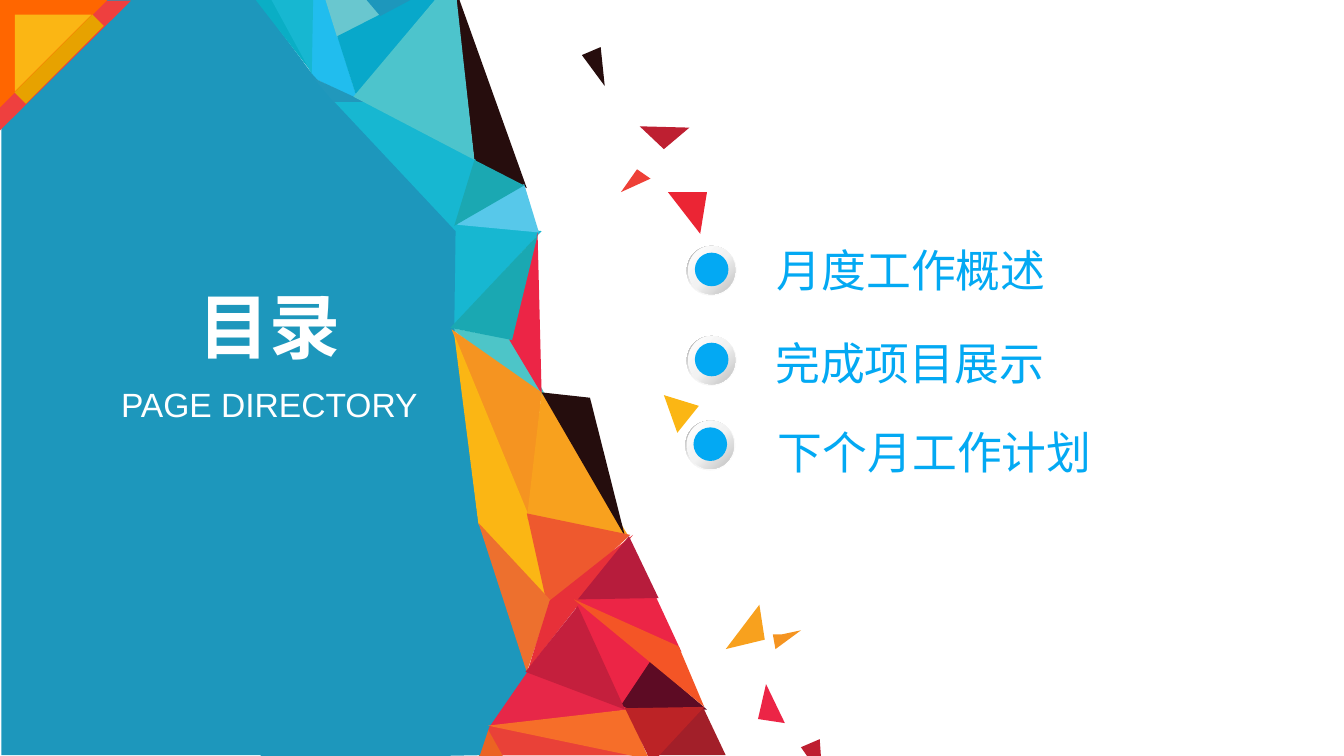
from lxml import etree
from pptx import Presentation
from pptx.dml.color import RGBColor
from pptx.enum.shapes import MSO_SHAPE as SHAPE
from pptx.enum.text import MSO_ANCHOR, MSO_AUTO_SIZE, PP_ALIGN as ALIGN
from pptx.oxml.ns import qn
from pptx.util import Pt

PX = 9144  # 100 px to the inch
WIDTH = 1000
BLUE, ACCENT, WHITE = "1D97BC", "03A9F3", "FFFFFF"

# Colour and corner points, from back to front
MOSAIC = [
    ("EC2546", [(422, 438), (464, 528), (490, 496)]),
    ("5D0B24", [(460, 528), (526, 528), (484, 492)]),
    ("260D0D", [(338, -11), (392, 140), (353, 120)]),
    ("A21F29", [(523, 526), (540, 562), (483, 562)]),
    ("EC2546", [(425, 445), (507, 485), (488, 444)]),
    ("E94138", [(357, 538), (369, 562), (487, 562)]),
    ("E72748", [(394, 497), (361, 541), (469, 528)]),
    ("4DC5C8", [(335, 244), (384, 253), (409, 300)]),
    ("17B7D1", [(338, 163), (403, 172), (335, 245)]),
    ("57C8EA", [(337, 167), (390, 137), (401, 173)]),
    ("EB6323", [(361, 539), (356, 564), (375, 564)]),
    ("21BDEE", [(233, -5), (242, -3), (266, 74), (231, 57), (231, 25)]),
    (BLUE, [(192, 1), (233, 56), (339, 171), (338, 244), (356, 388),
            (393, 499), (364, 541), (357, 562), (194, 565)]),
    ("0AAEC5", [(188, -3), (203, -1), (232, 54)]),
    ("17B7D1", [(202, 0), (233, -1), (232, 55)]),
    ("2198BC", [(233, 58), (274, 77), (250, 78)]),
    ("17B7D1", [(274, 76), (354, 119), (339, 172), (249, 76)]),
    ("1BA8B2", [(353, 119), (390, 138), (338, 168)]),
    ("69C7CF", [(241, -4), (265, -10), (285, 11), (251, 28)]),
    ("08A8CA", [(251, 27), (265, 71), (338, -17), (304, 0)]),
    ("EC2546", [(400, 173), (379, 253), (403, 293)]),
    ("4DC4CC", [(338, -17), (353, 119), (263, 72)]),
    ("1AA8B2", [(400, 175), (381, 253), (335, 244)]),
    ("F59421", [(336, 245), (403, 292), (394, 387)]),
    ("FBB614", [(338, 249), (356, 390), (409, 449), (394, 385)]),
    ("F8A11E", [(403, 292), (392, 386), (467, 398)]),
    ("250D0D", [(403, 292), (439, 296), (465, 399)]),
    ("EE592E", [(392, 382), (408, 454), (469, 398)]),
    ("ED702E", [(356, 389), (410, 447), (392, 500)]),
    ("E73039", [(409, 447), (471, 398), (393, 498)]),
    ("B71C3C", [(430, 446), (490, 445), (468, 399)]),
    ("C41F3D", [(430, 451), (465, 528), (391, 500)]),
    ("F45526", [(427, 446), (524, 526), (505, 481)]),
    ("F66E29", [(363, 540), (467, 528), (483, 565)]),
    ("BC2326", [(465, 527), (524, 526), (485, 568)]),
    (BLUE, [(271, -2), (283, 12), (313, -4)]),
]
LOOSE_SHARDS = [
    ("EE4037", [(474, 126), (462, 143), (484, 133)]),
    ("EB2534", [(497, 143), (526, 143), (521, 174)]),
    ("BE1F31", [(476, 94), (513, 95), (494, 111)]),
    ("FBB614", [(494, 294), (520, 302), (504, 322)]),
    ("F8A11E", [(565, 450), (540, 483), (569, 476)]),
    ("EC2546", [(570, 509), (564, 535), (584, 538)]),
    ("F59421", [(575, 472), (582, 472), (596, 469), (577, 483)]),
    ("260D0D", [(447, 35), (433, 41), (450, 64)]),
    ("BE1F31", [(610, 550), (596, 556), (612, 579)]),
]
# Preset, box, rotation, colour
CORNER = [
    (SHAPE.RIGHT_TRIANGLE, (0, 0, 97, 98), 90, "EE403F"),
    (SHAPE.RIGHT_TRIANGLE, (0, 0, 80, 80), 90, "FF6600"),
    (SHAPE.RIGHT_TRIANGLE, (11, 11, 57, 57), 90, "FBB614"),
    (SHAPE.RECTANGLE, (38, 3, 12, 82), 45, "E7A200"),
]
# Text, text box, top left of the bullet
AGENDA = [
    ("月度工作概述", (568, 176, 228, 50), (511, 183)),
    ("完成项目展示", (567, 245, 261, 50), (511, 250)),
    ("下个月工作计划", (569, 311, 256, 50), (510, 313)),
]
# Text, box, size, bold
HEADINGS = [
    ("目录", (137, 205, 127, 74), 38, True),
    ("PAGE DIRECTORY", (79, 281, 243, 40), 18, False),
]
RIM = [(0, "FFFFFF"), (55, "F2F2F2"), (100, "A6A6A6")]
DISC = [(0, "FFFFFF"), (51, "F2F2F2"), (100, "BFBFBF")]


def rgb(color):
    return RGBColor.from_string(color)


def px(values):
    return [v * PX for v in values]


def paint(sp, color):
    sp.shadow.inherit = False
    sp.line.fill.background()
    sp.fill.solid()
    sp.fill.fore_color.rgb = rgb(color)


def paint_gradient(sp, stops, angle):
    """Fill with a linear gradient; angle is clockwise from left to right."""
    paint(sp, WHITE)
    solid = sp._element.spPr.find(qn("a:solidFill"))
    grad = etree.Element(qn("a:gradFill"), rotWithShape="1")
    stop_list = etree.SubElement(grad, qn("a:gsLst"))
    for pos, color in stops:
        stop = etree.SubElement(stop_list, qn("a:gs"), pos=str(pos * 1000))
        etree.SubElement(stop, qn("a:srgbClr"), val=color)
    etree.SubElement(grad, qn("a:lin"), ang=str(angle * 60000), scaled="0")
    solid.getparent().replace(solid, grad)


def add_preset(shapes, preset, box, color, rotation=0):
    sp = shapes.add_shape(preset, *px(box))
    sp.rotation = rotation
    paint(sp, color)
    return sp


def add_shard(shapes, color, points):
    builder = shapes.build_freeform(*points[0], scale=PX)
    builder.add_line_segments(points[1:], close=True)
    paint(builder.convert_to_shape(), color)


def add_text(shapes, text, box, size, color, bold=False, align=ALIGN.LEFT, wrap=True):
    tf = shapes.add_textbox(*px(box)).text_frame
    tf.word_wrap = wrap
    tf.auto_size = MSO_AUTO_SIZE.SHAPE_TO_FIT_TEXT
    tf.vertical_anchor = MSO_ANCHOR.TOP
    p = tf.paragraphs[0]
    p.alignment = align
    r = p.add_run()
    r.text = text
    r.font.name, r.font.size, r.font.bold = "Arial", Pt(size), bold
    r.font.color.rgb = rgb(color)


def add_bullet(shapes, x, y):
    parts = shapes.add_group_shape().shapes
    rim = add_preset(parts, SHAPE.DONUT, (x, y, 37, 37), WHITE)
    rim.adjustments[0] = 0.05
    paint_gradient(rim, RIM, 225)
    disc = add_preset(parts, SHAPE.OVAL, (x + 1, y, 35, 36), WHITE)
    paint_gradient(disc, DISC, 45)
    add_preset(parts, SHAPE.OVAL, (x + 6, y + 5, 25, 25), ACCENT)


def main():
    prs = Presentation()
    prs.slide_width = WIDTH * PX
    prs.slide_height = prs.slide_width * 9 // 16
    s = prs.slides.add_slide(prs.slide_layouts[6])
    shapes = s.shapes

    add_preset(shapes, SHAPE.RECTANGLE, (1, -1, 206, 563), BLUE)
    for color, points in MOSAIC + LOOSE_SHARDS:
        add_shard(shapes, color, points)
    for preset, box, rotation, color in CORNER:
        add_preset(shapes, preset, box, color, rotation)
    for text, box, bullet in AGENDA:
        add_text(shapes, text, box, 24, ACCENT)
        add_bullet(shapes, *bullet)
    for text, box, size, bold in HEADINGS:
        add_text(shapes, text, box, size, WHITE, bold, ALIGN.CENTER, wrap=False)
    prs.save("out.pptx")


if __name__ == "__main__":
    main()
